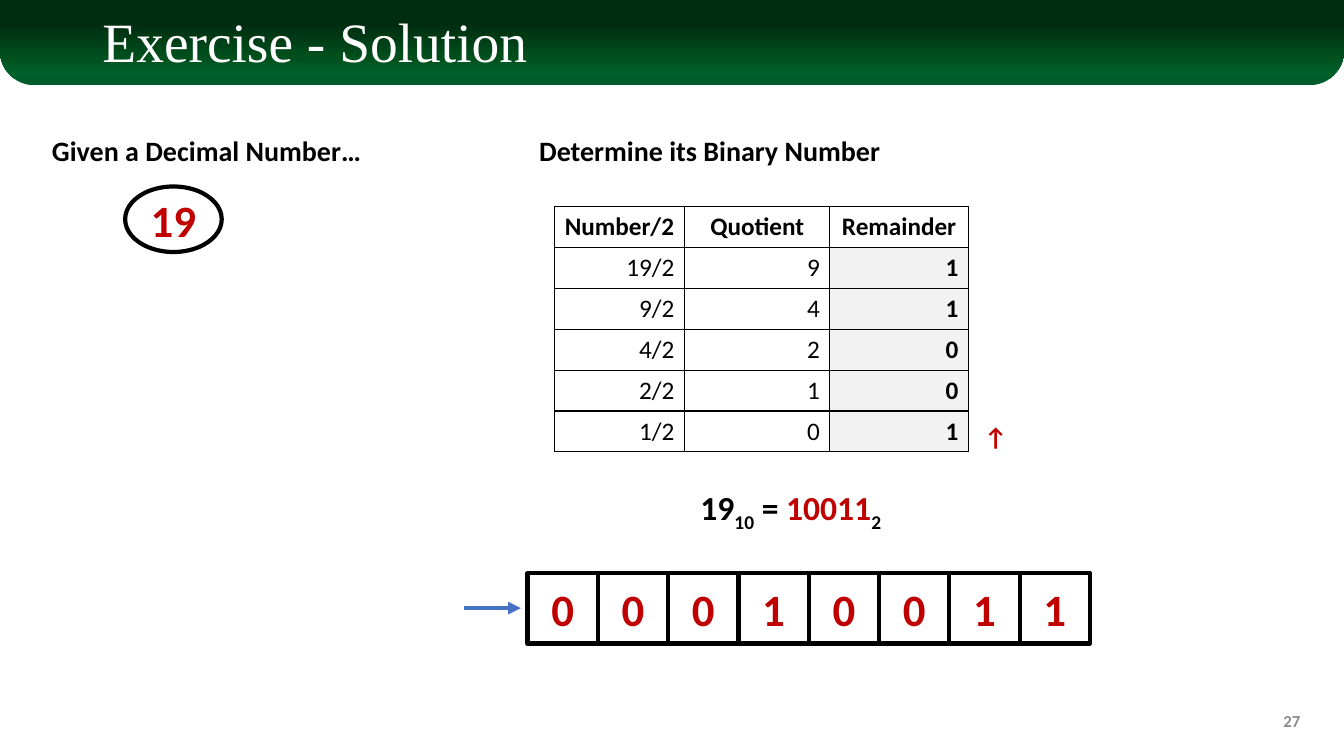
import lxml.etree
import pptx
import pptx.dml.color
import pptx.enum.shapes
import pptx.enum.text
import pptx.oxml
import pptx.oxml.ns
import pptx.util

COLUMNS, ROWS = 160, 90
UNIT = pptx.util.Inches(7.5) / ROWS
BLACK, RED, BLUE, WHITE, GRAY = "000000", "C00000", "4472C4", "FFFFFF", "8C8C8C"
SHAPES = pptx.enum.shapes.MSO_SHAPE
LEFT = pptx.enum.text.PP_ALIGN.LEFT
CENTER = pptx.enum.text.PP_ALIGN.CENTER
RIGHT = pptx.enum.text.PP_ALIGN.RIGHT
MIDDLE = pptx.enum.text.MSO_ANCHOR.MIDDLE
TOP = pptx.enum.text.MSO_ANCHOR.TOP


def grid(*cells):
    """Turn grid columns or rows into slide lengths."""
    return [pptx.util.Emu(round(cell * UNIT)) for cell in cells]


def color(value):
    """Make a colour from a hex string."""
    return pptx.dml.color.RGBColor.from_string(value)


def add_xml(parent, name, **attributes):
    """Append a drawing element with its attributes."""
    return lxml.etree.SubElement(parent, pptx.oxml.ns.qn(name), attributes)


def format_span(span, size, shade, bold=True, face="Calibri"):
    """Set the font of one run."""
    span.font.name = face
    span.font.size = pptx.util.Pt(size)
    span.font.bold = bold
    span.font.color.rgb = color(shade)


def write(frame, text, size, shade=BLACK, align=LEFT, anchor=TOP, bold=True, wrap=True):
    """Fill a text frame with one formatted paragraph."""
    frame.text = text
    frame.word_wrap = wrap
    frame.vertical_anchor = anchor
    para = frame.paragraphs[0]
    para.alignment = align
    format_span(para.runs[0], size, shade, bold)


def add_label(page, place, text, size, **style):
    """Add a text box at a grid place."""
    box = page.shapes.add_textbox(*grid(*place))
    write(box.text_frame, text, size, **style)


def add_outlined(page, kind, place, text):
    """Add a black outline around a large red number."""
    box = page.shapes.add_shape(kind, *grid(*place))
    box.shadow.inherit = False
    box.fill.background()
    box.line.color.rgb = color(BLACK)
    box.line.width = pptx.util.Pt(3)
    write(box.text_frame, text, 32, RED, CENTER, MIDDLE, wrap=False)


def add_banner(page):
    """Add the green gradient band with rounded lower corners."""
    banner = page.shapes.add_shape(SHAPES.ROUND_2_SAME_RECTANGLE, *grid(0, 0, COLUMNS, 10.15))
    banner.adjustments[0] = 0.4
    banner.adjustments[1] = 0
    banner.shadow.inherit = False
    banner.line.fill.background()
    banner._element.spPr.xfrm.set("flipV", "1")
    banner.fill.gradient()
    gradient = banner.fill._xPr.find(pptx.oxml.ns.qn("a:gradFill"))
    for child in list(gradient):
        gradient.remove(child)
    stops = add_xml(gradient, "a:gsLst")
    for percent, shade in ((0, "005C2B"), (15, "00602B"), (32, "00501D"), (72, "002D10")):
        stop = add_xml(stops, "a:gs", pos=str(percent * 1000))
        add_xml(stop, "a:srgbClr", val=shade)
    add_xml(gradient, "a:lin", ang="5400000", scaled="0")


def add_title(page, text):
    """Place the title over the banner."""
    title = page.shapes.title
    page.shapes._spTree.append(title._element)
    title.left, title.top, title.width, title.height = grid(11, 1.6, 138, 7.3)
    write(title.text_frame, text, 39.6, WHITE, anchor=MIDDLE)
    para = title.text_frame.paragraphs[0]
    para.line_spacing = 0.9
    format_span(para.runs[0], 39.6, WHITE, False, "Times New Roman")


def add_equation(page, place, parts):
    """Add an equation from text, colour and baseline parts."""
    box = page.shapes.add_textbox(*grid(*place))
    box.text_frame.word_wrap = False
    para = box.text_frame.paragraphs[0]
    for text, shade, baseline in parts:
        span = para.add_run()
        span.text = text
        format_span(span, 24, shade)
        if baseline:
            span._r.get_or_add_rPr().set("baseline", str(baseline * 1000))


def add_borders(cell):
    """Draw thin black lines around a table cell."""
    properties = cell._tc.get_or_add_tcPr()
    for side in ("a:lnL", "a:lnR", "a:lnT", "a:lnB"):
        line = add_xml(properties, side, w=str(pptx.util.Pt(1)))
        add_xml(add_xml(line, "a:solidFill"), "a:srgbClr", val=BLACK)


def add_division_table(page, left, top, widths, height, rows):
    """Add the table of repeated divisions with shaded remainders."""
    place = grid(left, top, sum(widths), height * len(rows))
    table = page.shapes.add_table(len(rows), len(widths), *place).table
    table.first_row = table.horz_banding = False
    for column, width in zip(table.columns, grid(*widths)):
        column.width = width
    for row_index, row in enumerate(rows):
        table.rows[row_index].height = grid(height)[0]
        header = row_index == 0
        for column_index, text in enumerate(row):
            cell = table.cell(row_index, column_index)
            remainder = column_index == len(widths) - 1
            write(cell.text_frame, text, 18, align=CENTER if header else RIGHT,
                  bold=header or remainder)
            add_borders(cell)
            if remainder and not header:
                cell.fill.solid()
                cell.fill.fore_color.rgb = color("F2F2F2")
            else:
                cell.fill.background()


def add_arrow(page, start, end, row):
    """Add a horizontal blue arrow."""
    arrow = page.shapes.add_connector(
        pptx.enum.shapes.MSO_CONNECTOR.STRAIGHT, *grid(start, row, end, row))
    arrow.line.color.rgb = color(BLUE)
    arrow.line.width = pptx.util.Pt(3)
    add_xml(arrow.line._get_or_add_ln(), "a:tailEnd", type="triangle")
    add_xml(arrow._element.spPr, "a:effectLst")


def main():
    """Build the exercise solution slide."""
    deck = pptx.Presentation()
    deck.slide_width, deck.slide_height = grid(COLUMNS, ROWS)
    page = deck.slides.add_slide(deck.slide_layouts[5])
    add_banner(page)
    add_title(page, "Exercise - Solution")
    add_label(page, (120, 83.4, 36, 4.8), "27", 12, shade=GRAY, align=RIGHT, anchor=MIDDLE)
    add_label(page, (5, 15.25, 41.4, 5.25), "Given a Decimal Number…", 20)
    add_label(page, (63, 15.25, 43.3, 5.25), "Determine its Binary Number", 20, wrap=False)
    add_outlined(page, SHAPES.OVAL, (14.9, 22.2, 11.5, 7.8), "19")
    divisions = [("Number/2", "Quotient", "Remainder")]
    number = 19
    while number:
        divisions.append((f"{number}/2", str(number // 2), str(number % 2)))
        number //= 2
    add_division_table(page, 66, 24.6, (15.5, 17.3, 16.5), 4.87, divisions)
    add_label(page, (116, 49.6, 5.2, 4.8), "↑", 18, shade=RED, wrap=False)
    add_equation(page, (82.2, 57.4, 24.6, 6), (
        ("19", BLACK, 0), ("10", BLACK, -25), (" = ", BLACK, 0),
        ("10011", RED, 0), ("2", BLACK, -25)))
    side = 8.37
    for index, bit in enumerate("00010011"):
        add_outlined(page, SHAPES.RECTANGLE, (62.8 + index * side, 68.25, side, side), bit)
    add_arrow(page, 55.2, 62, 72.4)
    deck.save("out.pptx")


if __name__ == "__main__":
    main()
